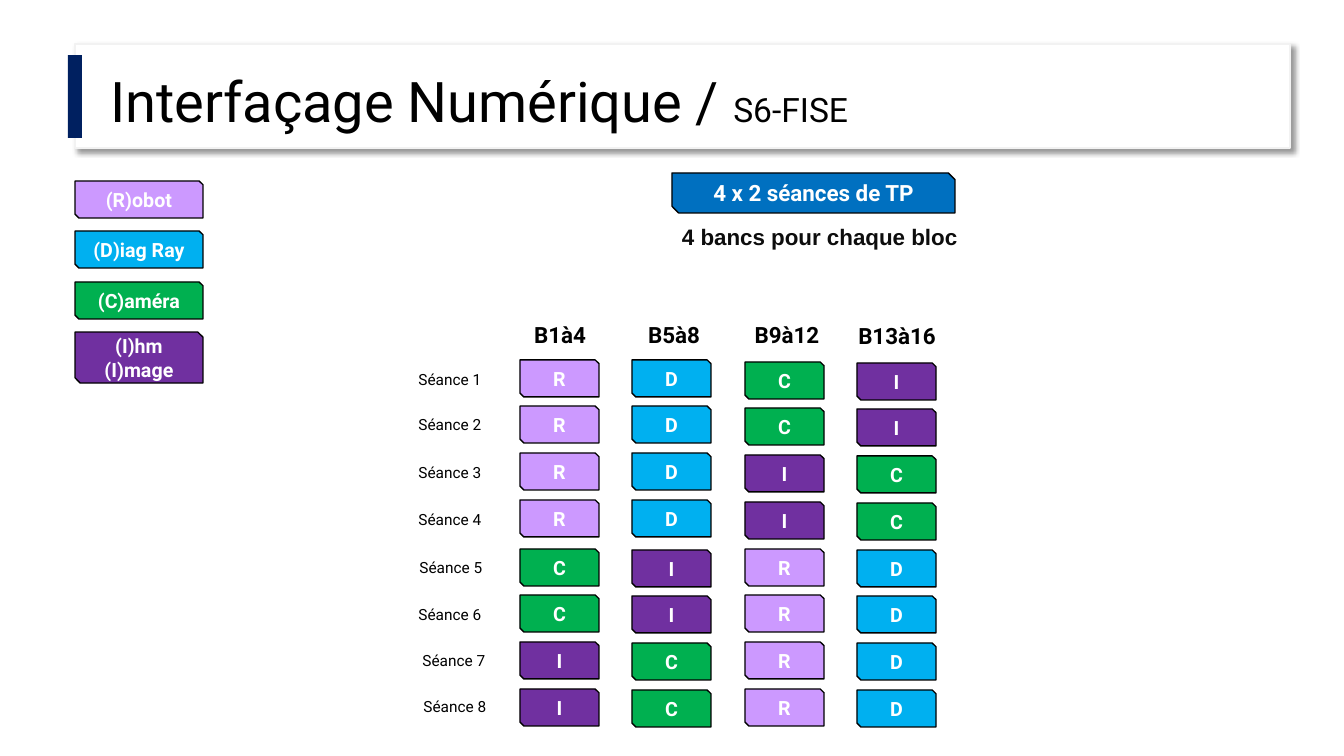
from dataclasses import dataclass

from lxml import etree
from pptx import Presentation
from pptx.dml.color import RGBColor
from pptx.enum import shapes, text
from pptx.oxml.ns import qn
from pptx.util import Emu, Pt

SCALE = 914400 / 100.8

WHITE = RGBColor(0xFF, 0xFF, 0xFF)
BLACK = RGBColor(0, 0, 0)
INK = RGBColor(0x0D, 0x0D, 0x0D)
PALE = RGBColor(0xF2, 0xF2, 0xF2)
NAVY = RGBColor(0x00, 0x20, 0x60)
BLUE = RGBColor(0x00, 0x70, 0xC0)
LILAC = RGBColor(0xCC, 0x99, 0xFF)
SKY = RGBColor(0x00, 0xB0, 0xF0)
GREEN = RGBColor(0x00, 0xB0, 0x50)
PURPLE = RGBColor(0x70, 0x30, 0xA0)

TOPICS = {"R": LILAC, "D": SKY, "C": GREEN, "I": PURPLE}
SNIP = shapes.MSO_SHAPE.SNIP_2_DIAG_RECTANGLE
RECT = shapes.MSO_SHAPE.RECTANGLE
LEFT = text.PP_ALIGN.LEFT
CENTER = text.PP_ALIGN.CENTER


@dataclass
class Box:
    x: int
    y: int
    w: int
    h: int

    def emu(self) -> list[Emu]:
        return [Emu(round(v * SCALE)) for v in (self.x, self.y, self.w, self.h)]


@dataclass
class Group:
    """One column: heading place, tops of its two halves, topic of each session."""
    name: str
    x: int
    y: int
    tops: tuple[int, int]
    plan: str


@dataclass
class Label:
    x: int
    y: int


@dataclass
class Key:
    name: str
    topic: str
    h: int = 37


GROUPS = [
    Group("B1à4", 503, 316, (360, 549), "RRRRCCII"),
    Group("B5à8", 617, 316, (360, 550), "DDDDIICC"),
    Group("B9à12", 730, 316, (362, 549), "CCIIRRRR"),
    Group("B13à16", 840, 317, (363, 550), "IICCDDDD"),
]
LABELS = [
    Label(393, 365), Label(393, 410), Label(393, 458), Label(393, 505),
    Label(394, 553), Label(393, 600), Label(397, 646), Label(398, 692),
]
KEYS = [
    Key("(R)obot", "R"), Key("(D)iag Ray", "D"),
    Key("(C)améra", "C"), Key("(I)hm (I)mage", "I", 51),
]


def write(para, words: str, *, size: int, color: RGBColor = BLACK,
          bold: bool = False, font: str = "Roboto", align=CENTER) -> None:
    para.alignment = align
    run = para.add_run()
    run.text = words
    run.font.size = Pt(size)
    run.font.name = font
    run.font.bold = bold
    run.font.color.rgb = color


def block(slide, kind, box: Box, fill: RGBColor, line: RGBColor | None = None):
    shape = slide.shapes.add_shape(kind, *box.emu())
    shape.shadow.inherit = False
    shape.fill.solid()
    shape.fill.fore_color.rgb = fill
    if line is None:
        shape.line.fill.background()
    else:
        shape.line.color.rgb = line
        shape.line.width = Pt(1)
    return shape


def tag(slide, box: Box, words: str, fill: RGBColor,
        size: int = 14, snip: float = 0.102) -> None:
    """Snipped rectangle with centred white text."""
    shape = block(slide, SNIP, box, fill, BLACK)
    shape.adjustments[1] = snip
    frame = shape.text_frame
    frame.word_wrap = True
    frame.vertical_anchor = text.MSO_ANCHOR.MIDDLE
    write(frame.paragraphs[0], words, size=size, color=WHITE, bold=True)


def note(slide, box: Box, words: str, **style) -> None:
    frame = slide.shapes.add_textbox(*box.emu()).text_frame
    frame.word_wrap = True
    frame.auto_size = text.MSO_AUTO_SIZE.SHAPE_TO_FIT_TEXT
    write(frame.paragraphs[0], words, **style)


def shade(shape) -> None:
    """Soft shadow towards the lower right."""
    effects = shape.element.spPr.find(qn("a:effectLst"))
    outer = etree.SubElement(
        effects, qn("a:outerShdw"), blurRad=str(Pt(4)), dist=str(Pt(3)),
        dir="2700000", algn="tl", rotWithShape="0")
    color = etree.SubElement(outer, qn("a:srgbClr"), val=str(BLACK))
    etree.SubElement(color, qn("a:alpha"), val="40000")


def header(slide) -> None:
    card = block(slide, RECT, Box(75, 44, 1215, 104), WHITE, PALE)
    shade(card)
    title = slide.shapes.title
    card.element.addnext(title.element)
    title.left, title.top, title.width, title.height = Box(100, 65, 989, 78).emu()
    frame = title.text_frame
    frame.auto_size = text.MSO_AUTO_SIZE.NONE
    frame.vertical_anchor = text.MSO_ANCHOR.MIDDLE
    para = frame.paragraphs[0]
    para.line_spacing = 0.9
    write(para, "Interfaçage Numérique / ", size=40, align=LEFT)
    write(para, "S6-FISE", size=24, align=LEFT)
    block(slide, RECT, Box(68, 55, 14, 83), NAVY)


def legend(slide) -> None:
    for row, key in enumerate(KEYS):
        box = Box(75, 181 + row * 101 // 2, 128, key.h)
        tag(slide, box, key.name, TOPICS[key.topic])


def grid(slide) -> None:
    for col, group in enumerate(GROUPS):
        note(slide, Box(group.x, group.y, 114, 37), group.name, size=16, bold=True)
        for row, topic in enumerate(group.plan):
            half, step = divmod(row, 4)
            top = group.tops[half] + step * 140 // 3
            box = Box(520 + col * 225 // 2, top, 79, 37)
            tag(slide, box, topic, TOPICS[topic])
    for num, label in enumerate(LABELS, 1):
        note(slide, Box(label.x, label.y, 114, 29), f"Séance {num}", size=11)


def main() -> None:
    deck = Presentation()
    deck.slide_width, deck.slide_height = Box(0, 0, 1344, 756).emu()[2:]
    slide = deck.slides.add_slide(deck.slide_layouts[5])
    header(slide)
    tag(slide, Box(672, 173, 283, 40), "4 x 2 séances de TP", BLUE,
        size=16, snip=0.167)
    note(slide, Box(672, 218, 313, 37), "4 bancs pour chaque bloc",
         size=16, color=INK, bold=True, font="Arial", align=LEFT)
    legend(slide)
    grid(slide)
    deck.save("out.pptx")


if __name__ == "__main__":
    main()
